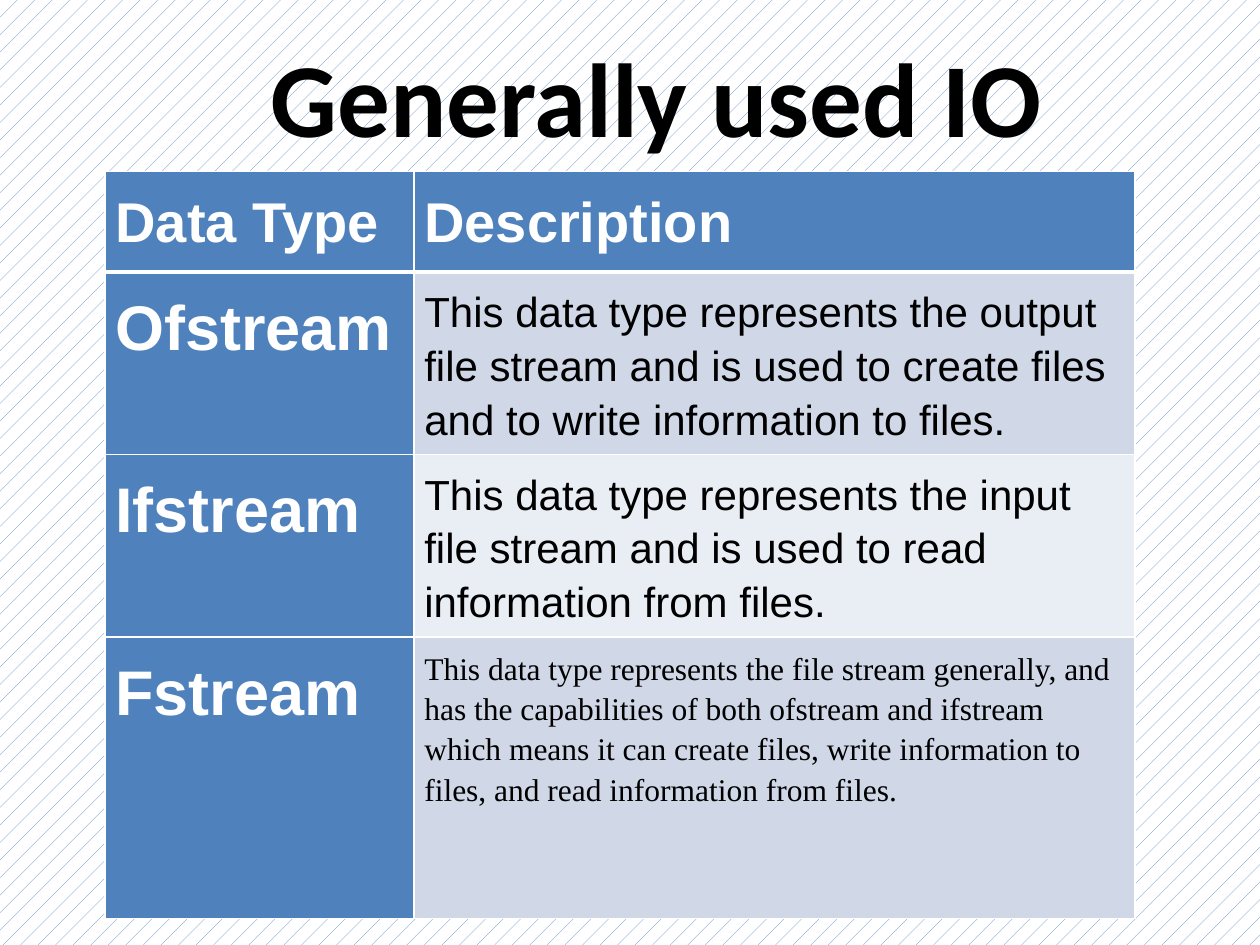
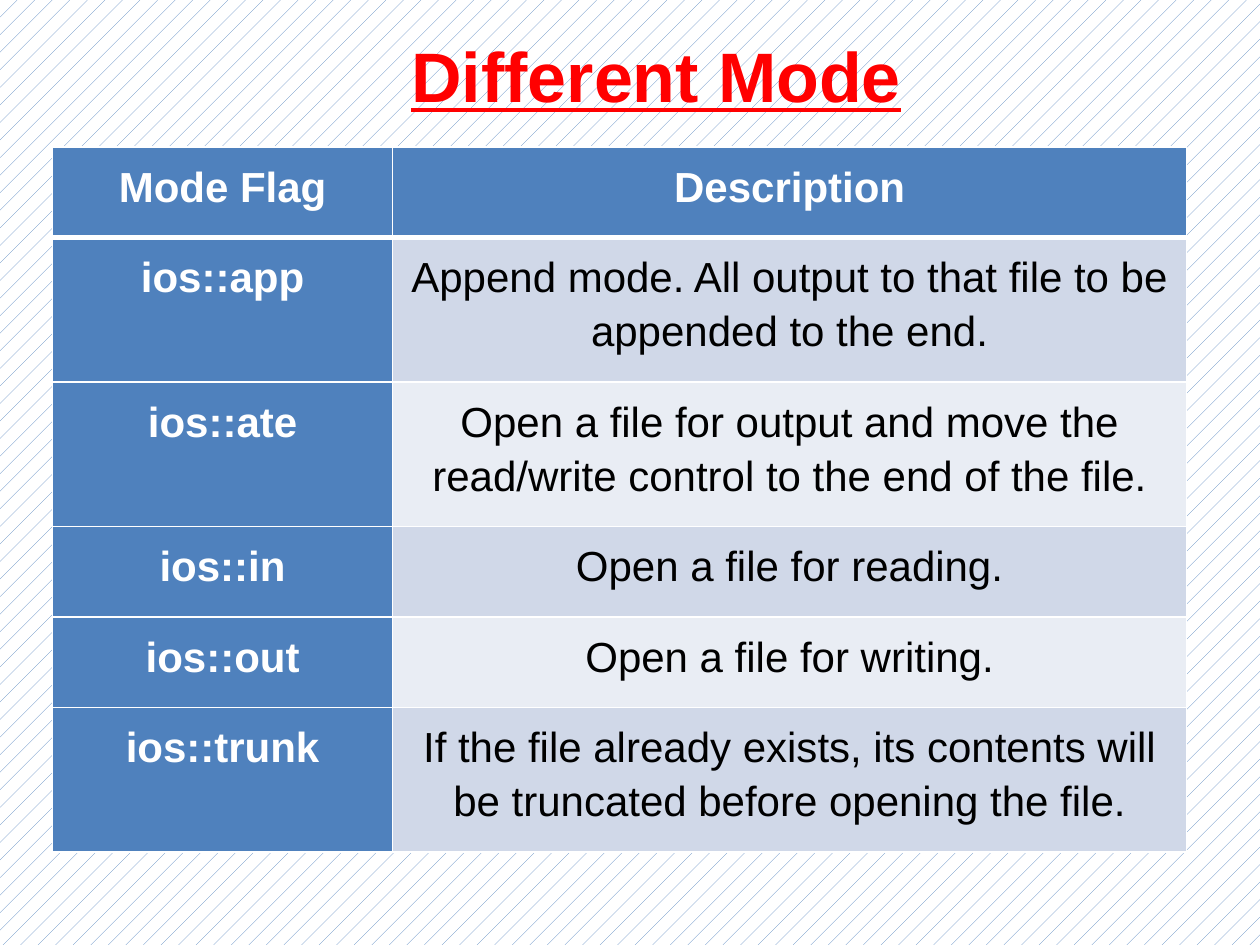
from dataclasses import dataclass

from lxml import etree
from pptx import Presentation
from pptx import util as u
from pptx.dml import color
from pptx.enum import dml, text
from pptx.oxml import ns

Pt = u.Pt
RGB = color.RGBColor.from_string


@dataclass(frozen=True)
class Theme:
    blue: str = "4F81BD"
    white: str = "FFFFFF"
    black: str = "000000"
    red: str = "FF0000"
    bands: tuple = ("D0D8E8", "E9EDF4")
    sans: str = "Arial"
    heading: str = "Calibri"
    serif: str = "Times New Roman"
    banner: int = 60
    title: int = 40
    label: int = 36
    header: int = 32
    body: int = 24
    small: int = 18
    rule: int = 1
    header_rule: int = 3
    line_spacing: float = 1.15
    inset: int = 6


class Deck:
    def __init__(self, theme):
        self.theme = theme
        self.prs = Presentation()
        self.prs.slide_width, self.prs.slide_height = Pt(720), Pt(540)
        self.s = None

    def slide(self):
        self.s = self.prs.slides.add_slide(self.prs.slide_layouts[5])
        fill = self.s.background.fill
        fill.patterned()
        fill.pattern = dml.MSO_PATTERN.PERCENT_5
        fill.fore_color.rgb = RGB(self.theme.blue)
        fill.back_color.rgb = RGB(self.theme.white)

    def add_text(self, tf, words, align, fmt, rgb):
        p = tf.paragraphs[0]
        p.alignment = align
        r = p.add_run()
        r.text = words
        for name, value in fmt.items():
            setattr(r.font, name, value)
        r.font.color.rgb = RGB(rgb)
        return p

    def title(self, words, fmt, rgb):
        sp = self.s.shapes.title
        place = dict(left=30, top=12, width=690, height=72)
        for name, value in place.items():
            setattr(sp, name, Pt(value))
        tf = sp.text_frame
        frame = dict(word_wrap=True, auto_size=text.MSO_AUTO_SIZE.NONE,
                     vertical_anchor=text.MSO_ANCHOR.TOP, margin_top=Pt(6.5))
        for name, value in frame.items():
            setattr(tf, name, value)
        self.add_text(tf, words, text.PP_ALIGN.CENTER, dict(fmt, bold=True), rgb)

    def borders(self, cell, widths):
        tc_pr = cell._tc.get_or_add_tcPr()
        for side, width in widths.items():
            ln = etree.SubElement(tc_pr, ns.qn("a:ln" + side), w=str(Pt(width)))
            fill = etree.SubElement(ln, ns.qn("a:solidFill"))
            etree.SubElement(fill, ns.qn("a:srgbClr"), val=self.theme.white)

    def cell(self, cell, words, row, col, align, fmt):
        t = self.theme
        heading = row == 0 or col == 0
        self.borders(cell, dict(L=t.rule, R=t.rule,
                                T=t.header_rule if row == 1 else t.rule,
                                B=t.header_rule if row == 0 else t.rule))
        cell.fill.solid()
        cell.fill.fore_color.rgb = RGB(t.blue if heading else t.bands[(row - 1) % 2])
        for side in ("left", "top", "right", "bottom"):
            setattr(cell, "margin_" + side, Pt(t.inset))
        p = self.add_text(cell.text_frame, words, align, dict(fmt, bold=heading),
                          t.white if heading else t.black)
        p.line_spacing = t.line_spacing

    def table(self, left, top, widths, heights, rows, align, fmt_for):
        frame = self.s.shapes.add_table(len(rows), len(widths), Pt(left), Pt(top),
                                        Pt(sum(widths)), Pt(sum(heights)))
        table = frame.table
        for column, width in zip(table.columns, widths):
            column.width = Pt(width)
        for row, height in zip(table.rows, heights):
            row.height = Pt(height)
        for i, row in enumerate(rows):
            for j, words in enumerate(row):
                self.cell(table.cell(i, j), words, i, j, align, fmt_for(i, j))


STREAMS = [
    ("Data Type", "Description"),
    ("Ofstream", "This data type represents the output file stream and is used to "
                 "create files and to write information to files."),
    ("Ifstream", "This data type represents the input file stream and is used to "
                 "read information from files."),
    ("Fstream", "This data type represents the file stream generally, and has the "
                "capabilities of both ofstream and ifstream which means it can create "
                "files, write information to files, and read information from files."),
]

MODES = [
    ("Mode Flag", "Description"),
    ("ios::app", "Append mode. All output to that file to be appended to the end."),
    ("ios::ate", "Open a file for output and move the read/write control to the end "
                 "of the file."),
    ("ios::in", "Open a file for reading."),
    ("ios::out", "Open a file for writing."),
    ("ios::trunk", "If the file already exists, its contents will be truncated before "
                   "opening the file."),
]


def main():
    t = Theme()
    deck = Deck(t)

    def stream_format(row, col):
        if (row, col) == (len(STREAMS) - 1, 1):
            return dict(name=t.serif, size=Pt(t.small))
        size = t.header if row == 0 else t.body if col else t.label
        return dict(name=t.sans, size=Pt(size))

    def mode_format(row, col):
        return dict(name=t.sans, size=Pt(t.body))

    deck.slide()
    deck.title("Generally used IO", dict(name=t.heading, size=Pt(t.banner)), t.black)
    deck.table(60, 98, (176.5, 412), (57.5, 92, 92, 161), STREAMS,
               text.PP_ALIGN.LEFT, stream_format)

    deck.slide()
    deck.title("Different Mode",
               dict(name=t.sans, size=Pt(t.title), underline=True), t.red)
    one_line, two_lines = 51.7, 82.6
    deck.table(30, 84, (194.4, 453.6),
               (one_line, two_lines, two_lines, one_line, one_line, two_lines),
               MODES, text.PP_ALIGN.CENTER, mode_format)

    deck.prs.save("out.pptx")


if __name__ == "__main__":
    main()
